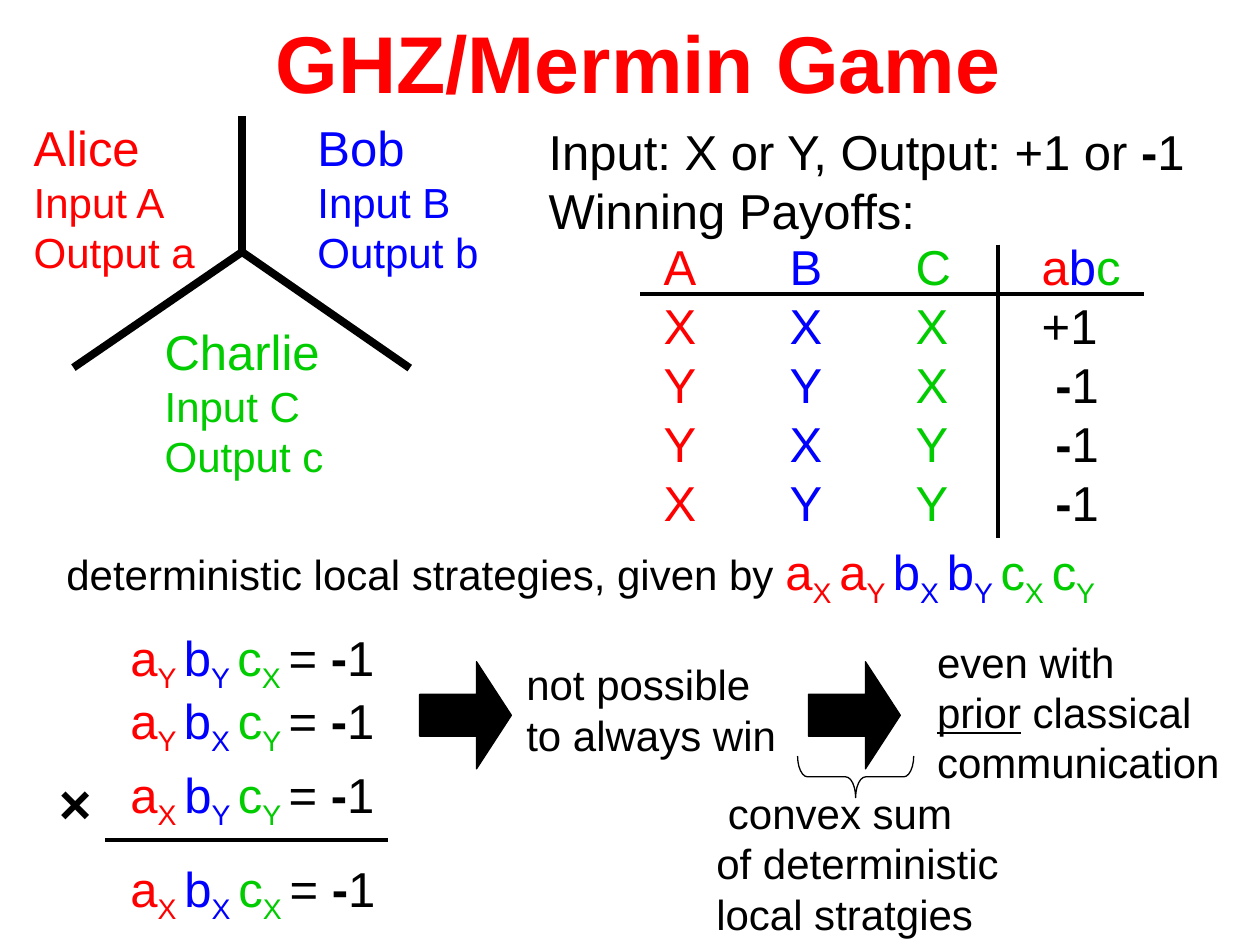
from dataclasses import dataclass, replace

from lxml import etree
from pptx import Presentation
from pptx.dml.color import RGBColor
from pptx.enum.shapes import MSO_CONNECTOR, MSO_SHAPE
from pptx.enum.text import MSO_AUTO_SIZE
from pptx.oxml.ns import qn
from pptx.util import Cm, Pt

STRAIGHT = MSO_CONNECTOR.STRAIGHT
RIGHT_ARROW = MSO_SHAPE.RIGHT_ARROW
LEFT_BRACE = MSO_SHAPE.LEFT_BRACE
FIT_SHAPE = MSO_AUTO_SIZE.SHAPE_TO_FIT_TEXT

FONT = "Arial"
COLORS = {"a": "FF0000", "b": "0000FF", "c": "00CC00", "ink": "000000"}
TAB_STEP = 2.54


@dataclass(frozen=True)
class Span:
    text: str
    color: str = "ink"
    size: int = 28
    bold: bool = False
    underline: bool = False
    lowered: bool = False


@dataclass(frozen=True)
class TextBlock:
    left: float
    top: float
    width: float
    height: float
    lines: list[list[Span]]
    wrap: bool = False
    tab_stops: int = 0


@dataclass(frozen=True)
class Line:
    start: tuple[float, float]
    end: tuple[float, float]
    weight: float = 2.25


@dataclass(frozen=True)
class Player:
    name: str
    letter: str
    left: float
    top: float


def rgb(name: str) -> RGBColor:
    return RGBColor.from_string(COLORS[name])


def minus_one() -> list[Span]:
    return [Span("-", bold=True), Span("1")]


def factors(terms: str) -> list[Span]:
    spans = []
    for letter, setting in terms.split():
        spans += [Span(letter, letter), Span(f"{setting} ", letter, lowered=True)]
    return spans


def payoff_row(inputs: str, won: bool) -> list[Span]:
    cells = [Span(f"{value}\t", letter) for value, letter in zip(inputs, "abc")]
    if won:
        return cells + [Span("+1")]
    cells[-1] = replace(cells[-1], text=cells[-1].text + " ")
    return cells + minus_one()


def plain_lines(*texts: str) -> list[list[Span]]:
    return [[Span(text, size=24)] for text in texts]


def player_block(player: Player) -> TextBlock:
    letter = player.letter
    lines = [
        [Span(player.name, letter)],
        [Span(f"Input {letter.upper()}", letter, 24)],
        [Span(f"Output {letter}", letter, 24)],
    ]
    return TextBlock(player.left, player.top, 3.76, 3.48, lines)


def add_span(para, span: Span) -> None:
    run = para.add_run()
    run.text = span.text
    run.font.name = FONT
    run.font.size = Pt(span.size)
    run.font.bold = span.bold
    run.font.underline = span.underline
    run.font.color.rgb = rgb(span.color)
    if span.lowered:
        run._r.get_or_add_rPr().set("baseline", "-25000")


def add_tab_stops(para, count: int) -> None:
    stops = etree.SubElement(para._p.get_or_add_pPr(), qn("a:tabLst"))
    for index in range(1, count + 1):
        etree.SubElement(stops, qn("a:tab"), pos=str(Cm(TAB_STEP * index)), algn="l")


def add_text(page, block: TextBlock) -> None:
    box = page.shapes.add_textbox(
        Cm(block.left), Cm(block.top), Cm(block.width), Cm(block.height))
    frame = box.text_frame
    frame.word_wrap = block.wrap
    frame.auto_size = FIT_SHAPE
    for index, spans in enumerate(block.lines):
        para = frame.add_paragraph() if index else frame.paragraphs[0]
        if block.tab_stops:
            add_tab_stops(para, block.tab_stops)
        for span in spans:
            add_span(para, span)


def add_line(page, line: Line) -> None:
    points = [Cm(value) for value in (*line.start, *line.end)]
    connector = page.shapes.add_connector(STRAIGHT, *points)
    connector.line.color.rgb = rgb("ink")
    connector.line.width = Pt(line.weight)
    etree.SubElement(connector._element.spPr, qn("a:effectLst"))


def add_outlined(page, kind, left: float, top: float, width: float, height: float,
                 adjustments: tuple[float, float]):
    shape = page.shapes.add_shape(kind, Cm(left), Cm(top), Cm(width), Cm(height))
    for index, value in enumerate(adjustments):
        shape.adjustments[index] = value
    shape.shadow.inherit = False
    shape.line.color.rgb = rgb("ink")
    shape.line.width = Pt(0.75)
    return shape


def add_arrow(page, left: float) -> None:
    arrow = add_outlined(page, RIGHT_ARROW, left, 13.34, 1.85, 2.16, (0.39, 0.38))
    arrow.fill.solid()
    arrow.fill.fore_color.rgb = rgb("ink")


def add_brace(page) -> None:
    brace = add_outlined(page, LEFT_BRACE, 16.83, 14.49, 0.84, 2.34, (0.24, 0.5))
    brace.fill.background()
    brace.rotation = 270


PLAYERS = [
    Player("Alice", "a", 0.43, 2.24),
    Player("Bob", "b", 6.15, 2.24),
    Player("Charlie", "c", 3.07, 6.35),
]
PAYOFFS = [
    [Span(f"{letter.upper()}\t", letter) for letter in "abc"]
    + [Span(letter, letter) for letter in "abc"],
    payoff_row("XXX", True),
    *[payoff_row(inputs, False) for inputs in ("YYX", "YXY", "XYY")],
]
EQUATIONS = {"aY bY cX": 12.52, "aY bX cY": 13.79, "aX bY cY": 15.29, "aX bX cX": 17.18}
BLOCKS = [
    TextBlock(5.31, 0.13, 15.2, 2.21, [[Span("GHZ/Mermin Game", "a", 46, True)]]),
    *[player_block(player) for player in PLAYERS],
    TextBlock(13.13, 4.65, 9.85, 6.2, PAYOFFS, tab_stops=3),
    TextBlock(10.81, 2.33, 13.5, 2.64, [
        [Span("Input: X or Y, Output: +1 or "), *minus_one()],
        [Span("Winning Payoffs:")],
    ]),
    *[TextBlock(2.38, top, 5.5, 1.6, [[*factors(terms), Span("= "), *minus_one()]])
      for terms, top in EQUATIONS.items()],
    TextBlock(0.94, 15.37, 1.17, 1.63, [[Span("×", size=32, bold=True)]]),
    TextBlock(10.36, 13.16, 6.35, 2.29,
              plain_lines("not possible", "to always win"), wrap=True),
    TextBlock(1.09, 10.8, 21.49, 1.6, [[
        Span("deterministic local strategies, given by ", size=24),
        *factors("aX aY bX bY cX cY"),
    ]]),
    TextBlock(18.64, 12.7, 6.2, 3.3, [
        *plain_lines("even with"),
        [Span("prior", size=24, underline=True), Span(" classical", size=24)],
        *plain_lines("communication"),
    ]),
    TextBlock(14.19, 15.75, 6.2, 3.3,
              plain_lines(" convex sum", "of deterministic", "local stratgies")),
]
HUB = (4.88, 5.08)
LINES = [
    *[Line(HUB, end, 4.5) for end in ((8.26, 7.42), (4.88, 2.33), (1.48, 7.41))],
    Line((12.91, 5.92), (23.07, 5.92)),
    Line((20.11, 4.93), (20.11, 10.85)),
    Line((2.12, 16.93), (7.83, 16.93)),
]


def main() -> None:
    deck = Presentation()
    deck.slide_width, deck.slide_height = Cm(25.4), Cm(19.05)
    page = deck.slides.add_slide(deck.slide_layouts[6])
    for block in BLOCKS:
        add_text(page, block)
    for line in LINES:
        add_line(page, line)
    for left in (8.46, 16.3):
        add_arrow(page, left)
    add_brace(page)
    deck.save("out.pptx")


if __name__ == "__main__":
    main()
